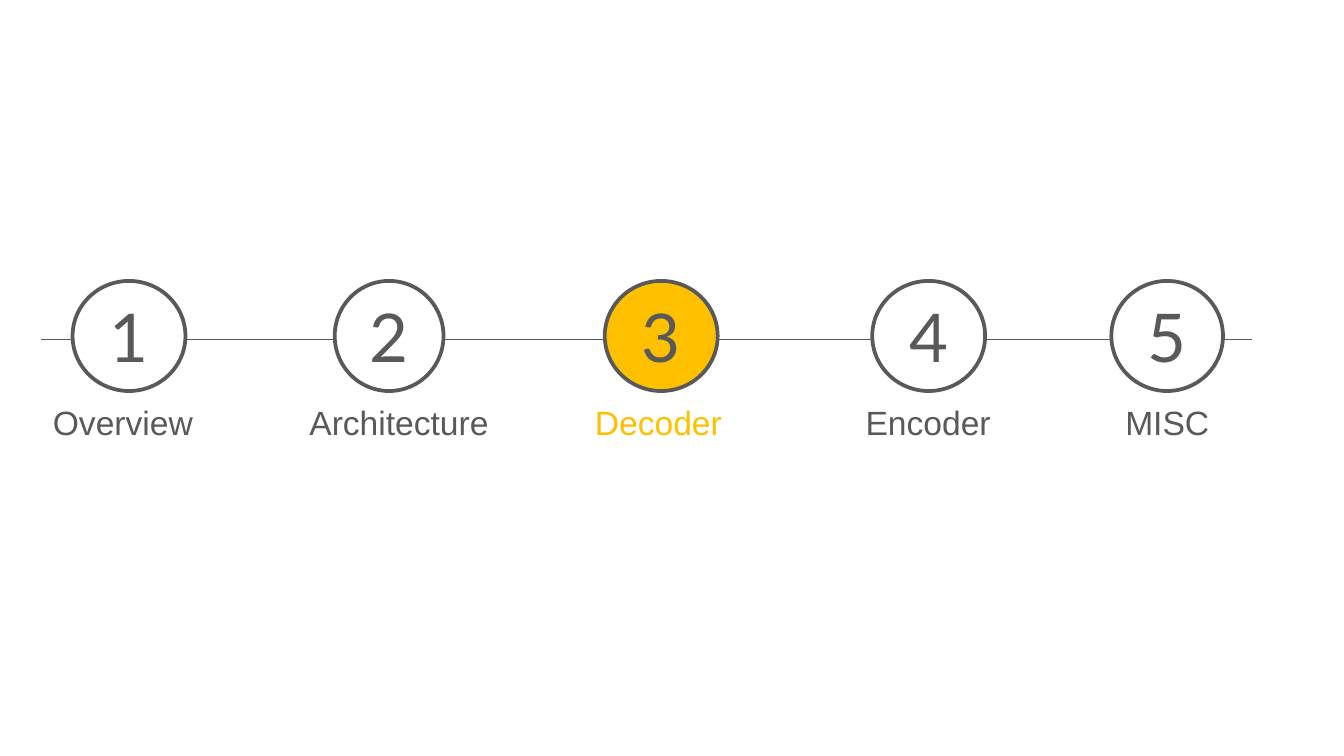
from lxml.etree import SubElement
from pptx import Presentation
from pptx.dml.color import RGBColor
from pptx.enum.dml import MSO_LINE
from pptx.enum.shapes import MSO_CONNECTOR, MSO_SHAPE
from pptx.enum.text import MSO_ANCHOR, PP_ALIGN
from pptx.oxml.ns import qn
from pptx.util import Pt

COLORS = {"gray": "595959", "gold": "FFC000", "white": "FFFFFF"}


def color(name):
    return RGBColor.from_string(COLORS[name])


def write(frame, text, font, size, ink):
    frame.word_wrap = True
    frame.margin_left = frame.margin_right = 0
    paragraph = frame.paragraphs[0]
    paragraph.alignment = PP_ALIGN.CENTER
    run = paragraph.add_run()
    run.text = text
    run.font.name = font
    run.font.size = Pt(size)
    run.font.color.rgb = color(ink)
    return paragraph


prs = Presentation()
prs.slide_width = Pt(720)
prs.slide_height = Pt(405)
slide = prs.slides.add_slide(prs.slide_layouts[6])

timeline = slide.shapes.add_connector(
    MSO_CONNECTOR.STRAIGHT, Pt(21.8), Pt(181.6), Pt(670.5), Pt(181.6)
)
timeline.line.color.rgb = color("gray")
timeline.line.width = Pt(0.1)
timeline.line.dash_style = MSO_LINE.SQUARE_DOT
SubElement(timeline._element.spPr, qn("a:effectLst"))

current = "Decoder"
chapters = [
    ("Overview", 38.9, 60.5, 12.2, 107.3),
    ("Architecture", 179.3, 58.3, 156.2, 115.2),
    ("Decoder", 324, 60.5, 311, 83.5),
    ("Encoder", 467.3, 60.5, 445, 104.4),
    ("MISC", 595.4, 59.8, 573.1, 104.4),
]

for number, (title, circle_left, circle_width, title_left, title_width) in enumerate(chapters, 1):
    active = title == current

    circle = slide.shapes.add_shape(
        MSO_SHAPE.OVAL, Pt(circle_left), Pt(150.5), Pt(circle_width), Pt(59)
    )
    circle.shadow.inherit = False
    circle.fill.solid()
    circle.fill.fore_color.rgb = color("gold" if active else "white")
    circle.line.color.rgb = color("gray")
    circle.line.width = Pt(2)
    circle.text_frame.vertical_anchor = MSO_ANCHOR.MIDDLE
    write(circle.text_frame, str(number), "Lato", 36, "gray")

    label = slide.shapes.add_textbox(Pt(title_left), Pt(215.3), Pt(title_width), Pt(25.2))
    caption = write(label.text_frame, title, "Arial", 18, "gold" if active else "gray")
    caption.line_spacing = 0.85

prs.save("out.pptx")
